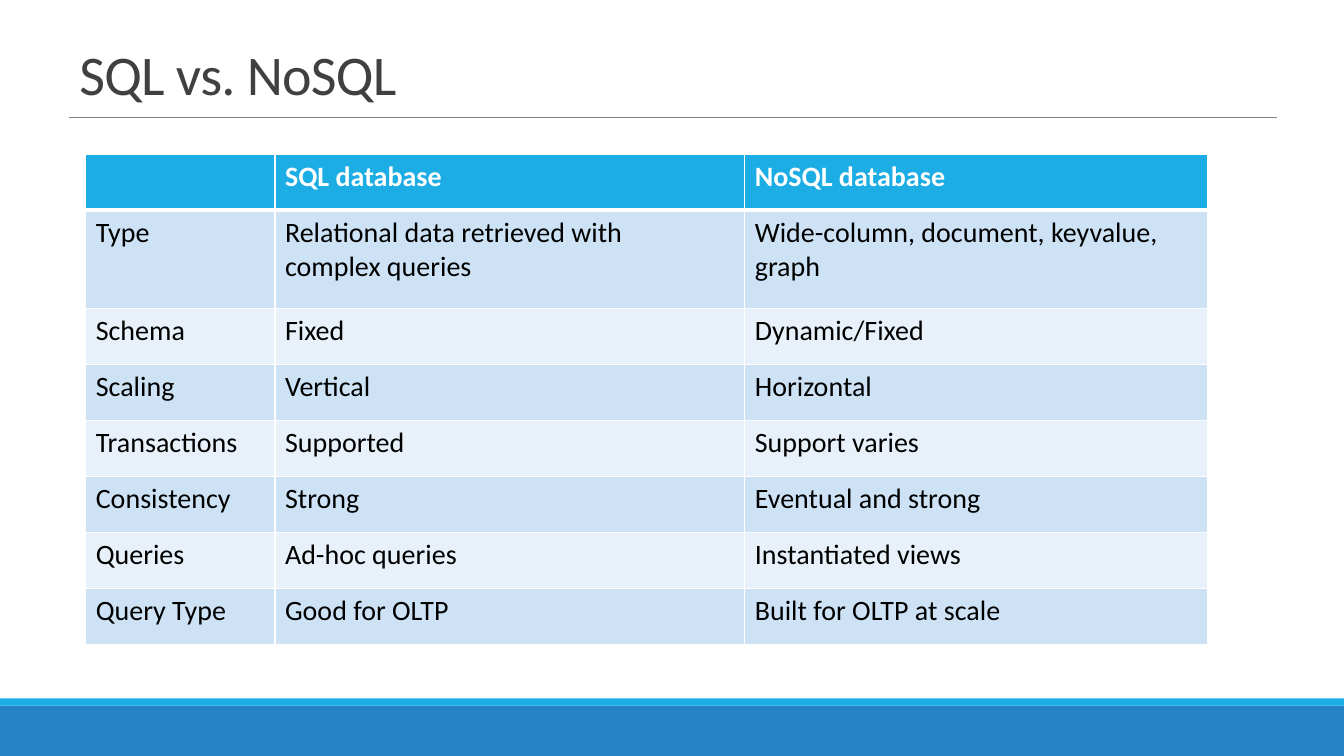
from dataclasses import dataclass

from lxml import etree
from pptx import Presentation
from pptx import util as u
from pptx.dml.color import RGBColor
from pptx.enum import shapes, text
from pptx.oxml import ns

Cm, Pt = u.Cm, u.Pt


@dataclass(frozen=True)
class Theme:
    font: str = "Calibri"
    title_size: int = 40
    table_size: int = 20
    title: str = "404040"
    body: str = "000000"
    white: str = "FFFFFF"
    rule: str = "808080"
    footer: str = "2683C6"
    accent: str = "1CADE4"
    bands: tuple = ("CDE3F5", "E8F1FA")


THEME = Theme()
PAGE_WIDTH, PAGE_HEIGHT = 33.87, 19.05
MARGIN = 1.75
COLUMN_WIDTHS = (4.77, 11.84, 11.66)
ROW_HEIGHT, TALL_ROW_HEIGHT = 1.41, 2.48

COMPARISON = (
    ("", "SQL database", "NoSQL database"),
    ("Type", "Relational data retrieved with\ncomplex queries",
     "Wide-column, document, keyvalue,\ngraph"),
    ("Schema", "Fixed", "Dynamic/Fixed"),
    ("Scaling", "Vertical", "Horizontal"),
    ("Transactions", "Supported", "Support varies"),
    ("Consistency", "Strong", "Eventual and strong"),
    ("Queries", "Ad-hoc queries", "Instantiated views"),
    ("Query Type", "Good for OLTP", "Built for OLTP at scale"),
)


def rgb(value):
    return RGBColor.from_string(value)


def style_font(para, size, color, bold=False):
    font = para.font
    font.name, font.size, font.bold = THEME.font, Pt(size), bold
    font.color.rgb = rgb(color)


def add_band(page, top, height, color):
    band = page.shapes.add_shape(shapes.MSO_SHAPE.RECTANGLE, 0, Cm(top),
                                 Cm(PAGE_WIDTH), Cm(height))
    band.shadow.inherit = False
    band.fill.solid()
    band.fill.fore_color.rgb = rgb(color)
    band.line.fill.background()


def add_rule(page, top):
    rule = page.shapes.add_connector(shapes.MSO_CONNECTOR.STRAIGHT, Cm(MARGIN), Cm(top),
                                     Cm(32.18), Cm(top))
    rule.line.color.rgb = rgb(THEME.rule)
    rule.line.width = Pt(0.5)
    etree.SubElement(rule._element.spPr, ns.qn("a:effectLst"))


def add_title(page, wording):
    box = page.shapes.add_textbox(Cm(MARGIN), Cm(0.79), Cm(30.4), Cm(2.03))
    frame = box.text_frame
    frame.word_wrap = True
    frame.vertical_anchor = text.MSO_ANCHOR.BOTTOM
    para = frame.paragraphs[0]
    para.line_spacing = 0.85
    span = para.add_run()
    span.text = wording
    span._r.get_or_add_rPr().set("spc", "-50")
    style_font(para, THEME.title_size, THEME.title)


def set_borders(cell, top=1, bottom=1):
    """Draw white cell borders; they must come before the fill in the XML."""
    properties = cell._tc.get_or_add_tcPr()
    widths = {"lnL": 1, "lnR": 1, "lnT": top, "lnB": bottom}
    for index, (side, width) in enumerate(widths.items()):
        border = etree.Element(ns.qn(f"a:{side}"), w=str(Pt(width)))
        fill = etree.SubElement(border, ns.qn("a:solidFill"))
        etree.SubElement(fill, ns.qn("a:srgbClr"), val=THEME.white)
        properties.insert(index, border)


def fill_cell(cell, wording, row):
    header = row == 0
    cell.fill.solid()
    cell.fill.fore_color.rgb = rgb(THEME.accent if header else THEME.bands[(row - 1) % 2])
    set_borders(cell, top=3 if row == 1 else 1, bottom=3 if header else 1)
    cell.text = wording
    for para in cell.text_frame.paragraphs:
        style_font(para, THEME.table_size, THEME.white if header else THEME.body, header)


def add_comparison(page, rows):
    heights = [TALL_ROW_HEIGHT if any("\n" in entry for entry in row) else ROW_HEIGHT
               for row in rows]
    table = page.shapes.add_table(len(rows), len(COLUMN_WIDTHS), Cm(2.16), Cm(3.89),
                                  Cm(sum(COLUMN_WIDTHS)), Cm(sum(heights))).table
    table.horz_banding = False
    for column, width in zip(table.columns, COLUMN_WIDTHS):
        column.width = Cm(width)
    for number, (entries, height) in enumerate(zip(rows, heights)):
        table.rows[number].height = Cm(height)
        for cell, wording in zip(table.rows[number].cells, entries):
            fill_cell(cell, wording, number)


def main():
    deck = Presentation()
    deck.slide_width, deck.slide_height = Cm(PAGE_WIDTH), Cm(PAGE_HEIGHT)
    page = deck.slides.add_slide(deck.slide_layouts[6])

    # Footer bands
    add_band(page, 17.78, 1.27, THEME.footer)
    add_band(page, 17.6, 0.18, THEME.accent)

    # Heading
    add_rule(page, 2.95)
    add_title(page, "SQL vs. NoSQL")

    # Comparison table
    add_comparison(page, COMPARISON)

    deck.save("out.pptx")


if __name__ == "__main__":
    main()
